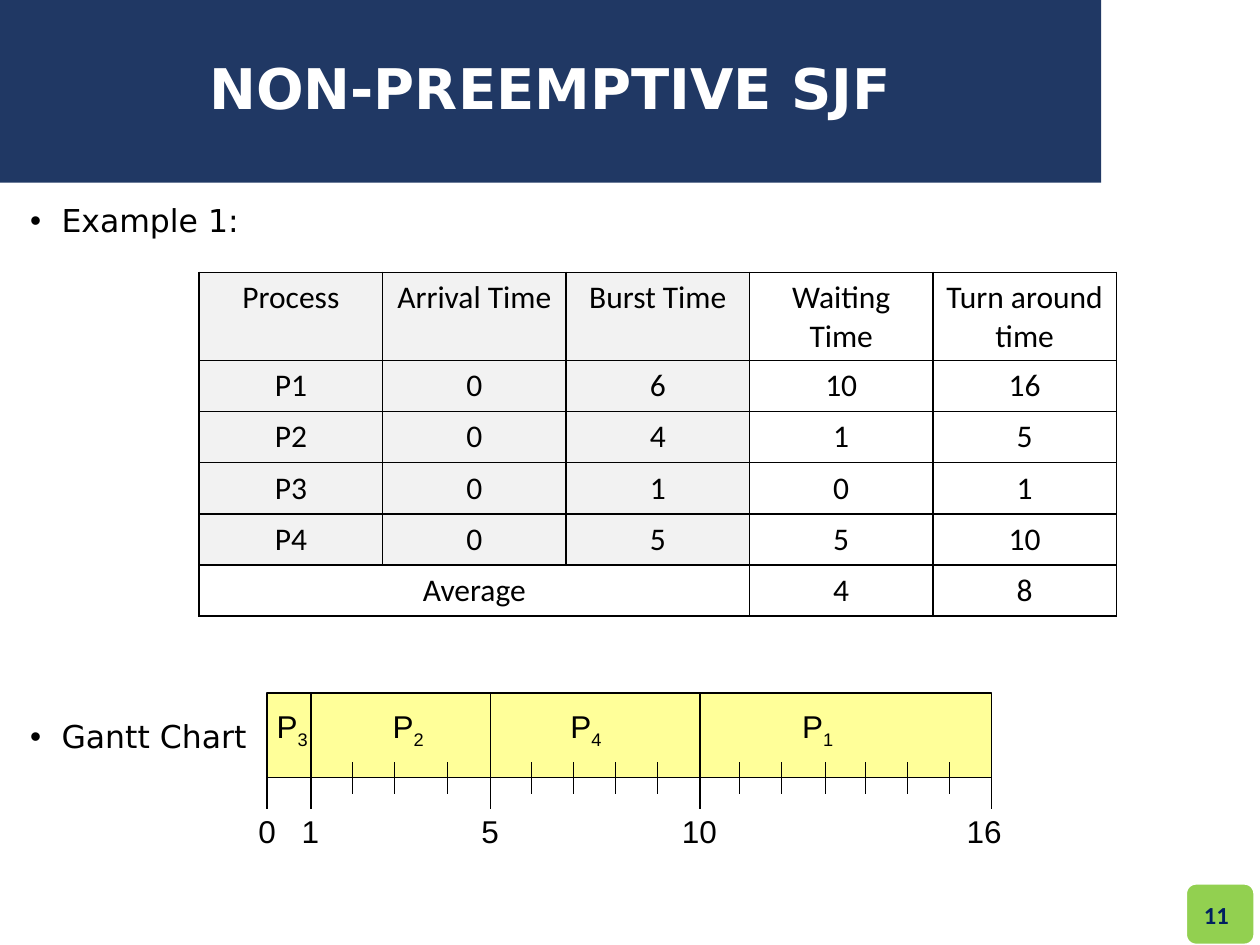
from dataclasses import dataclass

from lxml import etree
from pptx import Presentation
from pptx.dml.color import RGBColor
from pptx.enum.shapes import MSO_CONNECTOR, MSO_SHAPE
from pptx.enum.text import MSO_ANCHOR, PP_ALIGN
from pptx.oxml.ns import qn
from pptx.util import Pt

CENTER, RIGHT = PP_ALIGN.CENTER, PP_ALIGN.RIGHT
MIDDLE = MSO_ANCHOR.MIDDLE
RECT, ROUNDED = MSO_SHAPE.RECTANGLE, MSO_SHAPE.ROUNDED_RECTANGLE
STRAIGHT = MSO_CONNECTOR.STRAIGHT
BLACK, WHITE = "000000", "FFFFFF"
BAR_LEFT, BAR_TOP, BAR_RIGHT, BAR_BOTTOM = 152.6, 396, 566.6, 444.2


@dataclass(frozen=True)
class Box:
    left: float
    top: float
    width: float
    height: float

    def emu(self) -> tuple:
        return tuple(Pt(v) for v in (self.left, self.top, self.width, self.height))


@dataclass(frozen=True)
class Job:
    number: str
    center: float


@dataclass(frozen=True)
class TimeMark:
    time: str
    x: float
    label_center: float


JOBS = [Job("3", 167), Job("2", 233.3), Job("4", 334.8), Job("1", 467.3)]
TIME_MARKS = [
    TimeMark("0", BAR_LEFT, 152.6),
    TimeMark("1", 177.8, 177.4),
    TimeMark("5", 280.1, 280.1),
    TimeMark("10", 400, 399.6),
    TimeMark("16", BAR_RIGHT, 562.3),
]
MINOR_TICKS = [201.6, 225.6, 255.6, 303.8, 327.6, 351.6, 375.6,
               422.6, 446.4, 471.6, 494.6, 518.4, 542.4]
PROCESS_ROWS = [
    ("Process", "Arrival Time", "Burst Time", "Waiting Time", "Turn around time"),
    ("P1", "0", "6", "10", "16"),
    ("P2", "0", "4", "1", "5"),
    ("P3", "0", "1", "0", "1"),
    ("P4", "0", "5", "5", "10"),
    ("Average", "", "", "4", "8"),
]


def color(value: str) -> RGBColor:
    return RGBColor.from_string(value)


def style_font(font, name: str, size: float, ink: str = BLACK, bold: bool = False) -> None:
    font.name, font.size, font.bold = name, Pt(size), bold
    font.color.rgb = color(ink)


def add_block(slide, kind, box: Box, fill: str, line: str = "", weight: float = 0.75):
    block = slide.shapes.add_shape(kind, *box.emu())
    block.shadow.inherit = False
    block.fill.solid()
    block.fill.fore_color.rgb = color(fill)
    if line:
        block.line.color.rgb = color(line)
        block.line.width = Pt(weight)
    else:
        block.line.fill.background()
    return block


def add_line(slide, x: float, top: float, bottom: float) -> None:
    line = slide.shapes.add_connector(STRAIGHT, Pt(x), Pt(top), Pt(x), Pt(bottom))
    line.line.color.rgb = color(BLACK)
    line.line.width = Pt(0.75)
    etree.SubElement(line._element.spPr, qn("a:effectLst"))


def add_label(slide, center: float, top: float, text: str, subscript: str = "") -> None:
    width = 33.2 if subscript else 24.5 + 10 * (len(text) - 1)
    label = slide.shapes.add_textbox(*Box(center - width / 2, top, width, 27.4).emu())
    frame = label.text_frame
    frame.word_wrap = False
    frame.vertical_anchor = MIDDLE
    frame.text = text
    paragraph = frame.paragraphs[0]
    paragraph.alignment = CENTER
    paragraph.line_spacing = 0.93
    if subscript:
        paragraph.add_run().text = subscript
    for run in paragraph.runs:
        style_font(run.font, "Arial", 18)
    if subscript:
        paragraph.runs[1]._r.get_or_add_rPr().set("baseline", "-25000")


def add_title(slide) -> None:
    banner = add_block(slide, RECT, Box(0, 0, 629.3, 104.4), "203864")
    banner.text_frame.text = "NON-PREEMPTIVE SJF"
    banner.text_frame.vertical_anchor = MIDDLE
    heading = banner.text_frame.paragraphs[0]
    heading.alignment = CENTER
    heading.line_spacing = 0.9
    style_font(heading.runs[0].font, "DejaVu Sans", 32, WHITE, True)


def add_body(slide) -> None:
    body = slide.shapes.add_textbox(*Box(10.1, 113.8, 699.1, 386.6).emu()).text_frame
    body.word_wrap = True
    body.text = "Example 1:\nGantt Chart"
    for item in body.paragraphs:
        item.line_spacing = 0.9
        properties = item._p.get_or_add_pPr()
        properties.set("marL", str(Pt(18)))
        properties.set("indent", str(Pt(-18)))
        etree.SubElement(properties, qn("a:buFont"), typeface="Arial")
        etree.SubElement(properties, qn("a:buChar"), char="•")
        style_font(item.runs[0].font, "DejaVu Sans", 18)
    body.paragraphs[1].space_before = Pt(275.5)


def add_borders(cell) -> None:
    properties = cell._tc.get_or_add_tcPr()
    for position, side in enumerate(("lnL", "lnR", "lnT", "lnB")):
        border = etree.Element(qn(f"a:{side}"), w=str(Pt(1)))
        fill = etree.SubElement(border, qn("a:solidFill"))
        etree.SubElement(fill, qn("a:srgbClr"), val=BLACK)
        properties.insert(position, border)


def add_process_table(slide) -> None:
    box = Box(113.8, 155.6, 524.2, 175.2)
    table = slide.shapes.add_table(len(PROCESS_ROWS), len(PROCESS_ROWS[0]), *box.emu()).table
    table.first_row = table.horz_banding = False
    last = len(PROCESS_ROWS) - 1
    for r, values in enumerate(PROCESS_ROWS):
        for c, value in enumerate(values):
            cell = table.cell(r, c)
            if c < 3 and r < last:
                cell.fill.solid()
                cell.fill.fore_color.rgb = color("F2F2F2")
            else:
                cell.fill.background()
            add_borders(cell)
            cell.text = value
            paragraph = cell.text_frame.paragraphs[0]
            paragraph.alignment = CENTER
            style_font(paragraph.font, "Calibri", 18)
            for run in paragraph.runs:
                style_font(run.font, "Calibri", 18)
    table.cell(last, 0).merge(table.cell(last, 2))


def add_gantt_chart(slide) -> None:
    bar = Box(BAR_LEFT, BAR_TOP, BAR_RIGHT - BAR_LEFT, BAR_BOTTOM - BAR_TOP)
    add_block(slide, RECT, bar, "FFFF99", BLACK)
    for job in JOBS:
        add_label(slide, job.center, 401.8, "P", job.number)
    for mark in TIME_MARKS:
        add_line(slide, mark.x, BAR_BOTTOM, BAR_BOTTOM + 18)
        add_label(slide, mark.label_center, 462.2, mark.time)
    for mark in TIME_MARKS[1:-1]:
        add_line(slide, mark.x, BAR_TOP, BAR_BOTTOM)
    for x in MINOR_TICKS:
        add_line(slide, x, BAR_BOTTOM - 8.6, BAR_BOTTOM + 9.4)


def add_page_number(slide) -> None:
    add_block(slide, ROUNDED, Box(677.6, 504.8, 39.4, 35.2), "92D050", WHITE, 1.5)
    frame = slide.shapes.add_textbox(*Box(547.2, 508.4, 162, 28.8).emu()).text_frame
    frame.word_wrap = True
    frame.vertical_anchor = MIDDLE
    frame.text = "11"
    frame.paragraphs[0].alignment = RIGHT
    style_font(frame.paragraphs[0].runs[0].font, "Calibri", 14, "002060", True)


def main() -> None:
    """Build the non-preemptive SJF slide and save it."""
    deck = Presentation()
    deck.slide_width, deck.slide_height = Pt(720), Pt(540)
    slide = deck.slides.add_slide(deck.slide_layouts[6])
    add_title(slide)
    add_body(slide)
    add_page_number(slide)
    add_process_table(slide)
    add_gantt_chart(slide)
    deck.save("out.pptx")


if __name__ == "__main__":
    main()
